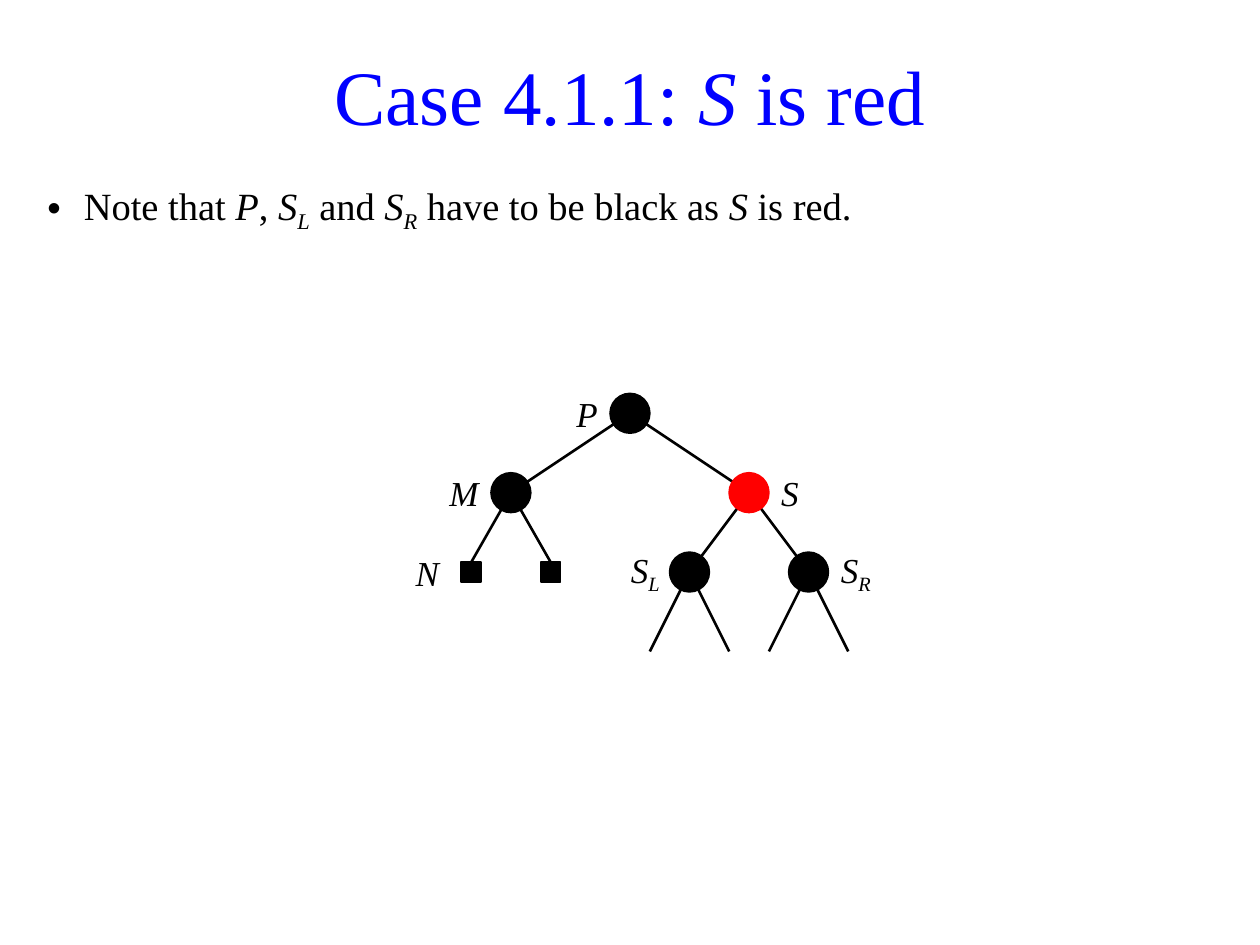
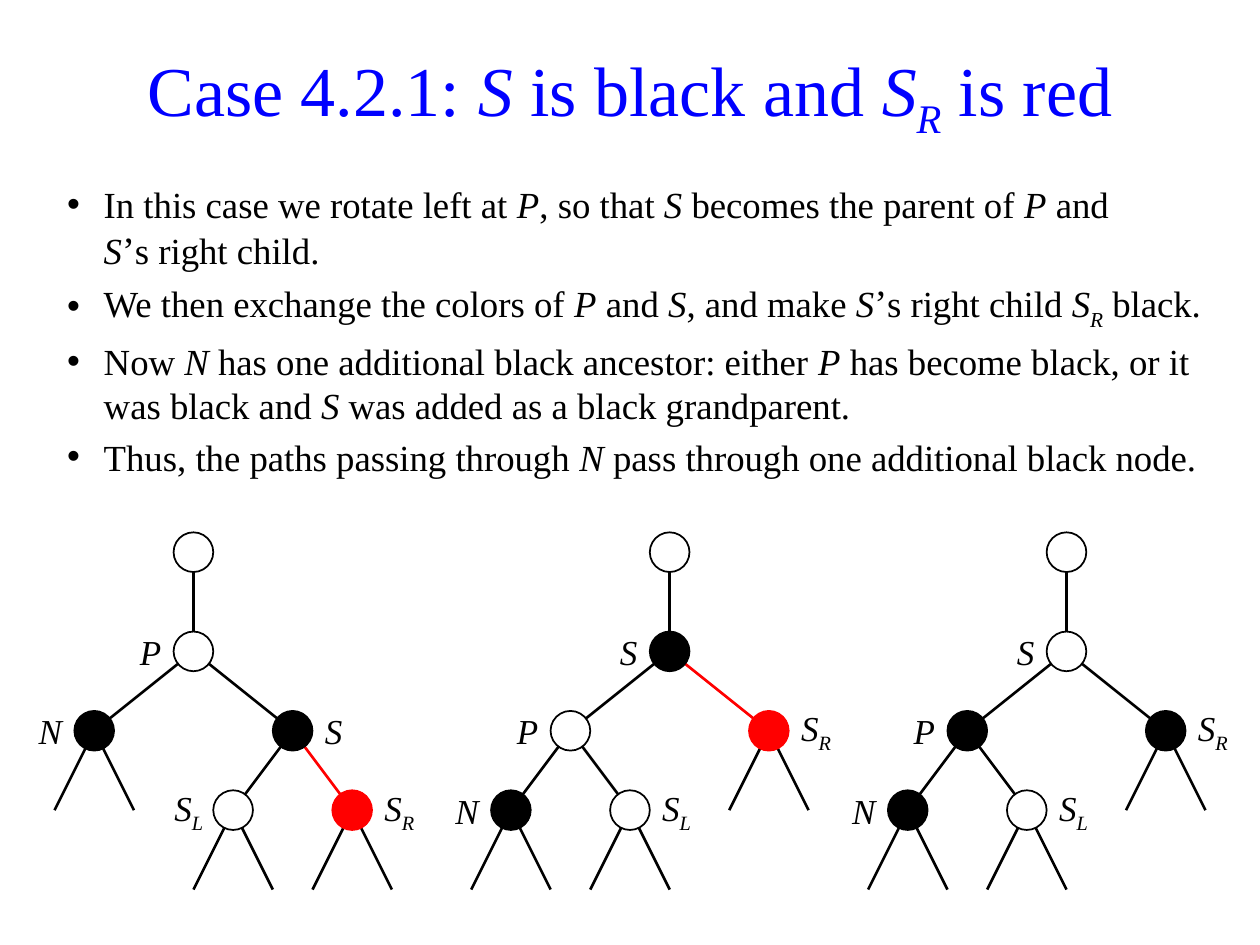
from dataclasses import dataclass
from typing import Iterator, Optional

from lxml.etree import SubElement
from pptx import Presentation
from pptx.dml.color import RGBColor
from pptx.enum.shapes import MSO_CONNECTOR as Connector, MSO_SHAPE as Shape
from pptx.enum.text import MSO_ANCHOR as Anchor, MSO_AUTO_SIZE as AutoSize, PP_ALIGN as Align
from pptx.oxml.ns import qn
from pptx.util import Inches, Pt

COLOURS = {"title": "0000FF", "black": "000000", "white": "FFFFFF", "red": "FF0000"}
FONT = "Times New Roman"

# The slide is 63.5 grid steps wide; every length below counts these steps.
WIDTH, HEIGHT, STEPS = Inches(10), Inches(7.5), 63.5
TITLE_BOX = (2.75, 1.75, 58, 6)
BODY_TOP = 8.83
TREE_ROW = 32.83
LEVEL = 4


@dataclass(frozen=True)
class Node:
    """A tree node, placed relative to its parent (or to the slide's corner)."""
    right: float
    down: float
    fill: str = "black"
    label: str = ""
    side: str = "left"
    parent: Optional["Node"] = None
    link: str = "black"
    legs: bool = False
    square: bool = False

    @property
    def col(self) -> float:
        return self.right + (self.parent.col if self.parent else 0)

    @property
    def row(self) -> float:
        return self.down + (self.parent.row if self.parent else 0)


def grid(*steps: float) -> list[int]:
    return [round(step * WIDTH / STEPS) for step in steps]


def rgb(colour: str) -> RGBColor:
    return RGBColor.from_string(COLOURS[colour])


# Text: *italic*, _subscript_, ~one point larger~, and a newline for a line break
def marked_spans(text: str) -> Iterator[tuple[str, frozenset]]:
    active, piece = frozenset(), ""
    for char in text:
        if char in "*_~\n":
            if piece:
                yield piece, active
            piece = ""
            if char == "\n":
                yield char, active
            else:
                active = active ^ {char}
        else:
            piece += char
    if piece:
        yield piece, active


def write(para, text: str, *, size: float, colour: str = "black",
          align: Optional[Align] = None) -> None:
    para.alignment = align
    for piece, marks in marked_spans(text):
        if piece == "\n":
            para.add_line_break()
            continue
        span = para.add_run()
        span.text = piece
        span.font.name = FONT
        span.font.size = Pt(size + ("~" in marks))
        span.font.italic = "*" in marks
        span.font.color.rgb = rgb(colour)
        if "_" in marks:
            span.font._element.set("baseline", "-25000")


def place(box, steps: tuple) -> None:
    box.left, box.top, box.width, box.height = grid(*steps)
    box.text_frame.auto_size = AutoSize.NONE
    box.text_frame.word_wrap = True


def add_page(deck, title: str, title_size: float, bullets: list[str],
             bullet_size: float, body_box: tuple):
    page = deck.slides.add_slide(deck.slide_layouts[1])
    heading, body = page.placeholders[0], page.placeholders[1]
    place(heading, TITLE_BOX)
    heading.text_frame.vertical_anchor = Anchor.MIDDLE
    write(heading.text_frame.paragraphs[0], title, size=title_size,
          colour="title", align=Align.CENTER)

    place(body, body_box)
    frame = body.text_frame
    for index, bullet in enumerate(bullets):
        para = frame.add_paragraph() if index else frame.paragraphs[0]
        properties = para._p.get_or_add_pPr()
        properties.set("marL", str(Inches(0.29)))
        properties.set("indent", str(-Inches(0.29)))
        SubElement(properties, qn("a:buChar")).set("char", "•")
        write(para, bullet, size=bullet_size)
    return page


# Parts of a tree
def add_line(page, start: tuple, end: tuple, colour: str = "black"):
    line = page.shapes.add_connector(Connector.STRAIGHT, *grid(*start, *end))
    line.line.color.rgb = rgb(colour)
    line.line.width = Pt(1.5)
    SubElement(line._element.spPr, qn("a:effectLst"))
    return line


def add_node(page, node: Node):
    size = 1 if node.square else 2
    kind = Shape.RECTANGLE if node.square else Shape.OVAL
    mark = page.shapes.add_shape(
        kind, *grid(node.col - size / 2, node.row - size / 2, size, size))
    mark.shadow.inherit = False
    mark.fill.solid()
    mark.fill.fore_color.rgb = rgb(node.fill)
    mark.line.color.rgb = rgb("black" if node.fill == "white" else node.fill)
    mark.line.width = Pt(1)
    return mark


def add_label(page, node: Node) -> None:
    on_left = node.side == "left"
    left = node.col - 4 if on_left else node.col + 1
    box = page.shapes.add_textbox(*grid(left, node.row - 2, 3, 4))
    frame = box.text_frame
    frame.word_wrap = True
    frame.vertical_anchor = Anchor.MIDDLE
    if "_L" in node.label:
        frame.margin_right = Inches(0.08)
    write(frame.paragraphs[0], f"*{node.label}*", size=20,
          align=Align.RIGHT if on_left else Align.LEFT)


def draw_tree(page, nodes: list[Node]) -> None:
    squares = {node: add_node(page, node) for node in nodes if node.square}
    for node in nodes:
        here = (node.col, node.row)
        if node.parent:
            edge = add_line(page, (node.parent.col, node.parent.row), here, node.link)
            if node.square:
                edge.end_connect(squares[node], 0)
        if node.legs:
            for shift in (-2, 2):
                add_line(page, here, (node.col + shift, node.row + LEVEL))
    for node in nodes:
        if not node.square:
            add_node(page, node)
        if node.label:
            add_label(page, node)


# The trees
def red_sibling_tree() -> list[Node]:
    p = Node(STEPS / 2, TREE_ROW - 3 * LEVEL, label="P")
    m = Node(-6, LEVEL, label="M", parent=p)
    s = Node(6, LEVEL, "red", "S", "right", p)
    return [
        p, m, s,
        Node(-2, LEVEL, label="N", parent=m, square=True),
        Node(2, LEVEL, parent=m, square=True),
        Node(-3, LEVEL, label="S_L_", parent=s, legs=True),
        Node(3, LEVEL, label="S_R_", side="right", parent=s, legs=True),
    ]


def tree_before_rotation(col: float) -> list[Node]:
    top = Node(col, TREE_ROW - 5, "white")
    p = Node(0, 5, "white", "P", parent=top)
    s = Node(5, LEVEL, "black", "S", "right", p)
    return [
        top, p, s,
        Node(-5, LEVEL, label="N", parent=p, legs=True),
        Node(-3, LEVEL, "white", "S_L_", parent=s, legs=True),
        Node(3, LEVEL, "red", "S_R_", "right", s, link="red", legs=True),
    ]


def tree_after_rotation(col: float, s_fill: str, p_fill: str, sr_fill: str) -> list[Node]:
    top = Node(col, TREE_ROW - 5, "white")
    s = Node(0, 5, s_fill, "S", parent=top)
    p = Node(-5, LEVEL, p_fill, "P", parent=s)
    return [
        top, s, p,
        Node(5, LEVEL, sr_fill, "S_R_", "right", s, link=sr_fill, legs=True),
        Node(-3, LEVEL, label="N", parent=p, legs=True),
        Node(3, LEVEL, "white", "S_L_", "right", p, legs=True),
    ]


def main() -> None:
    deck = Presentation()
    deck.slide_width, deck.slide_height = WIDTH, HEIGHT

    # Red sibling
    page = add_page(
        deck, "Case 4.1.1: *S* is red", 44,
        ["Note that *P*, *S_L_* and *S_R_* have to be black as *S* is red."],
        22, (1.75, BODY_TOP, 60, 3))
    draw_tree(page, red_sibling_tree())

    # Black sibling with a red right child: before, rotated, recoloured
    page = add_page(
        deck, "Case 4.2.1: *S* is black and *S_R_* is red", 40,
        ["In this case we rotate left at *P*, so that *S* becomes the parent of "
         "*P* and\n*S*~’~s right child.",
         "We then exchange the colors of *P* and *S*, and make *S*~’~s right child "
         "*S_R_* black.",
         "Now *N* has one additional black ancestor: either *P* has become black, "
         "or it was black and *S* was added as a black grandparent.",
         "Thus, the paths passing through *N* pass through one additional black node."],
        21, (2.75, BODY_TOP, 59, 16))
    draw_tree(page, tree_before_rotation(9.75))
    draw_tree(page, tree_after_rotation(33.75, "black", "white", "red"))
    draw_tree(page, tree_after_rotation(53.75, "white", "black", "black"))

    deck.save("out.pptx")


if __name__ == "__main__":
    main()
